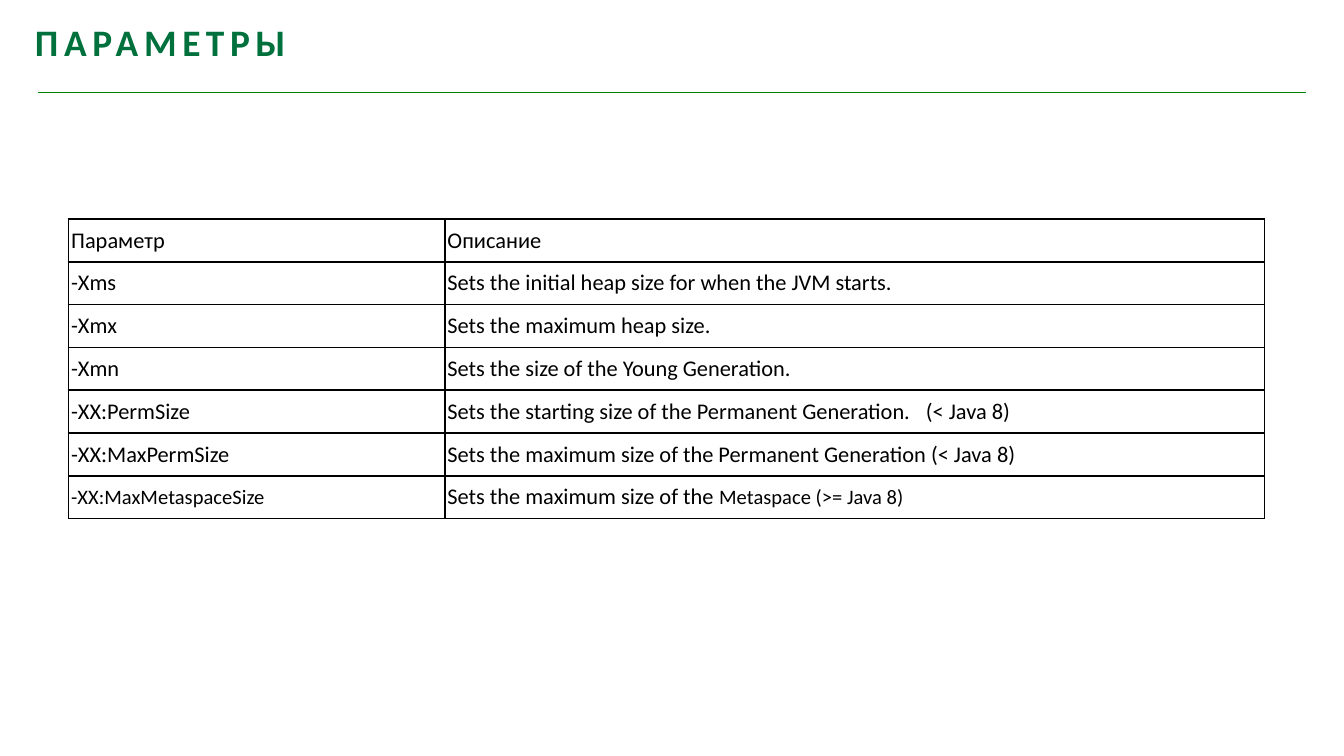
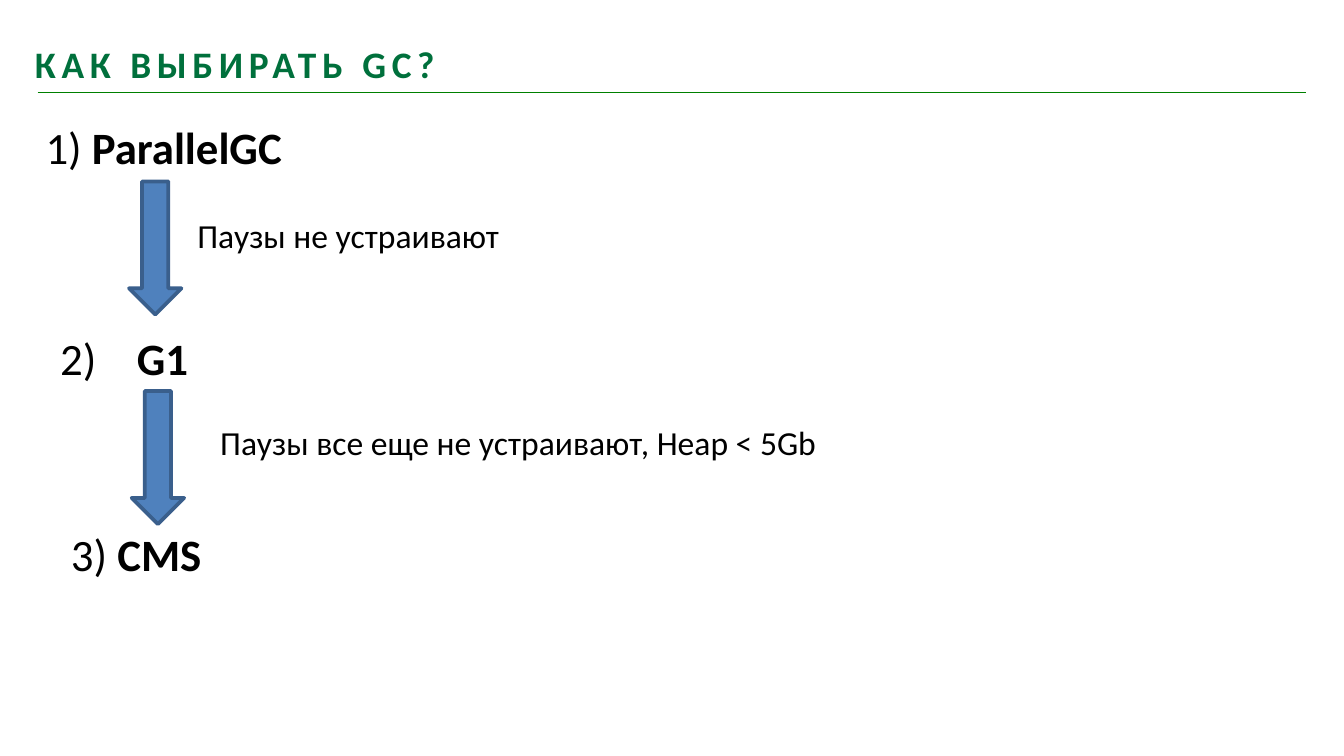
from dataclasses import dataclass

from lxml.etree import SubElement
from pptx import Presentation
from pptx.dml.color import RGBColor
from pptx.enum.shapes import MSO_CONNECTOR, MSO_SHAPE
from pptx.enum.text import MSO_ANCHOR, MSO_AUTO_SIZE, PP_ALIGN
from pptx.oxml.ns import qn
from pptx.util import Inches, Pt


@dataclass(frozen=True)
class Theme:
    font: str = "Calibri"
    ink: str = "000000"
    paper: str = "FFFFFF"
    head: str = "00703C"
    rule: str = "008000"
    arrow: str = "4F81BD"
    edge: str = "3A5F8C"
    title: int = 20
    step: int = 24
    note: int = 18
    cell: int = 12
    small: int = 11


class Deck:
    def __init__(self, theme):
        self.theme = theme
        self.prs = Presentation()
        # Widescreen, 16 to 9
        self.prs.slide_width = Inches(10)
        self.prs.slide_height = Inches(10) * 9 // 16
        self.slide = None

    def run(self, para, text, size, color=None, bold=False):
        run = para.add_run()
        run.text = text
        font = run.font
        font.name, font.size, font.bold = self.theme.font, Pt(size), bold
        font.color.rgb = RGBColor.from_string(color or self.theme.ink)
        return run

    def tab(self, para, pos):
        stops = SubElement(para._p.get_or_add_pPr(), qn("a:tabLst"))
        SubElement(stops, qn("a:tab"), pos=str(Inches(pos)), algn="l")

    # Slide with its heading and the green rule below it
    def page(self, title, height, lead=None):
        look = self.theme
        self.slide = self.prs.slides.add_slide(self.prs.slide_layouts[5])
        rule = self.slide.shapes.add_connector(
            MSO_CONNECTOR.STRAIGHT, Inches(0.28), Inches(0.69), Inches(9.72), Inches(0.69))
        rule.line.color.rgb = RGBColor.from_string(look.rule)
        rule.line.width = Pt(0.75)
        SubElement(rule._element.spPr, qn("a:effectLst"))

        head = self.slide.shapes.title
        head.left, head.top = Inches(0.26), Inches(0.09)
        head.width, head.height = Inches(7.17), Inches(height)
        frame = head.text_frame
        frame.word_wrap = True
        frame.auto_size = MSO_AUTO_SIZE.SHAPE_TO_FIT_TEXT
        frame.vertical_anchor = MSO_ANCHOR.TOP
        frame.margin_left = frame.margin_bottom = 0
        frame.margin_top, frame.margin_right = Inches(0.05), Inches(0.1)
        para = frame.paragraphs[0]
        para.alignment = PP_ALIGN.LEFT
        para.space_before = Pt(look.title * 0.2)
        if lead:
            para.line_spacing = lead
        run = self.run(para, title, look.title, look.head, True)
        run._r.get_or_add_rPr().set("spc", "300")

    # Text box; each part is (text, bold)
    def text(self, left, top, width, height, size, parts, stop=None):
        box = self.slide.shapes.add_textbox(
            Inches(left), Inches(top), Inches(width), Inches(height))
        box.text_frame.word_wrap = True
        para = box.text_frame.paragraphs[0]
        if stop:
            self.tab(para, stop)
        for words, bold in parts:
            self.run(para, words, size, bold=bold)

    def arrow(self, left, top):
        shape = self.slide.shapes.add_shape(
            MSO_SHAPE.DOWN_ARROW, Inches(left), Inches(top), Inches(0.39), Inches(0.99))
        shape.shadow.inherit = False
        shape.fill.solid()
        shape.fill.fore_color.rgb = RGBColor.from_string(self.theme.arrow)
        shape.line.color.rgb = RGBColor.from_string(self.theme.edge)
        shape.line.width = Pt(2)

    # Cell with thin borders; each part is (text, size)
    def cell(self, cell, parts, stop=None):
        props = cell._tc.get_or_add_tcPr()
        for side in ("lnL", "lnR", "lnT", "lnB"):
            line = SubElement(props, qn(f"a:{side}"), w=str(Pt(1)))
            fill = SubElement(line, qn("a:solidFill"))
            SubElement(fill, qn("a:srgbClr"), val=self.theme.ink)
        cell.fill.solid()
        cell.fill.fore_color.rgb = RGBColor.from_string(self.theme.paper)
        cell.margin_left = cell.margin_right = Inches(0.02)
        cell.margin_top = cell.margin_bottom = Inches(0.02)
        cell.vertical_anchor = MSO_ANCHOR.MIDDLE
        para = cell.text_frame.paragraphs[0]
        if stop:
            self.tab(para, stop)
        for words, size in parts:
            self.run(para, words, size)

    def table(self, left, top, height, widths, rows):
        table = self.slide.shapes.add_table(
            len(rows), len(widths), Inches(left), Inches(top),
            Inches(sum(widths)), Inches(height)).table
        table.first_row = table.horz_banding = False
        for col, width in zip(table.columns, widths):
            col.width = Inches(width)
        for r, row in enumerate(rows):
            for c, parts in enumerate(row):
                if isinstance(parts, str):
                    parts = [(parts, self.theme.cell)]
                stop = 3.56 if "\t" in parts[0][0] else None
                self.cell(table.cell(r, c), parts, stop)


def main():
    look = Theme()
    deck = Deck(look)

    # Memory options
    deck.page("ПАРАМЕТРЫ", 0.39)
    deck.table(0.51, 1.63, 2.23, (2.8, 6.1), [
        ("Параметр", "Описание"),
        ("-Xms", "Sets the initial heap size for when the JVM starts."),
        ("-Xmx", "Sets the maximum heap size."),
        ("-Xmn", "Sets the size of the Young Generation."),
        ("-XX:PermSize", "Sets the starting size of the Permanent Generation.\t(< Java 8)"),
        ("-XX:MaxPermSize", "Sets the maximum size of the Permanent Generation (< Java 8)"),
        ([("-XX:MaxMetaspaceSize", look.small)],
         [("Sets the maximum size of the ", look.cell),
          ("Metaspace (>= Java 8)", look.small)]),
    ])

    # Choice of collector: steps, then the reasons to move on
    deck.page("КАК ВЫБИРАТЬ GC?", 0.5, 1.5)
    for left, top, width, mark, name, stop in (
            (0.24, 0.84, 9.48, "1) ", "ParallelGC", None),
            (0.35, 2.41, 1.3, "2)\t", "G1", 0.57),
            (0.43, 3.87, 2.36, "3) ", "CMS", None)):
        deck.text(left, top, width, 0.5, look.step, [(mark, False), (name, True)], stop)
    for left, top in ((0.96, 1.35), (0.98, 2.91)):
        deck.arrow(left, top)
    for left, top, width, words in (
            (1.37, 1.55, 2.53, "Паузы не устраивают"),
            (1.54, 3.09, 4.75, "Паузы все еще не устраивают, Heap < 5Gb")):
        deck.text(left, top, width, 0.4, look.note, [(words, False)])

    deck.prs.save("out.pptx")


if __name__ == "__main__":
    main()
